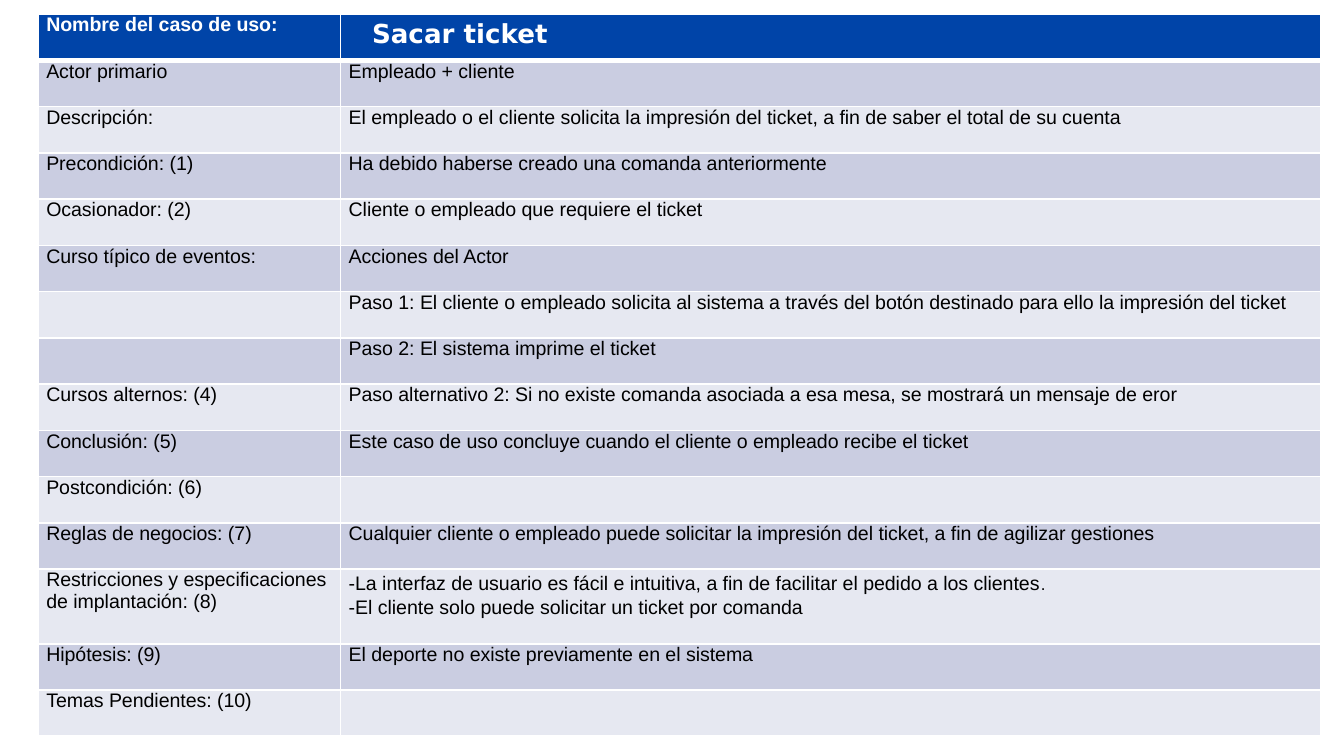
from dataclasses import dataclass

from lxml import etree
from pptx import Presentation
from pptx.dml.color import RGBColor
from pptx.enum import text
from pptx.oxml import ns
from pptx.util import Inches, Pt

WIDTH = 10
HEIGHT = WIDTH * 9 / 16
LEFT, TOP = Pt(20.5), Pt(7.6)
COLUMNS = (2.25, 7.29)
ROW, TALL_ROW = 24.8, 40
HEADER, BANDS = "0044A8", ("E6E8F1", "CACDE1")
WHITE, BLACK = "FFFFFF", "000000"


@dataclass
class Row:
    label: str
    detail: str = ""
    height: float = ROW


ROWS = [
    Row("Nombre del caso de uso:"),
    Row("Actor primario", "Empleado + cliente"),
    Row("Descripción:", "El empleado o el cliente solicita la impresión del ticket, "
        "a fin de saber el total de su cuenta"),
    Row("Precondición: (1)", "Ha debido haberse creado una comanda anteriormente"),
    Row("Ocasionador: (2)", "Cliente o empleado que requiere el ticket"),
    Row("Curso típico de eventos:", "Acciones del Actor"),
    Row("", "Paso 1: El cliente o empleado solicita al sistema a través del botón "
        "destinado para ello la impresión del ticket"),
    Row("", "Paso 2: El sistema imprime el ticket"),
    Row("Cursos alternos: (4)", "Paso alternativo 2: Si no existe comanda asociada a "
        "esa mesa, se mostrará un mensaje de eror"),
    Row("Conclusión: (5)", "Este caso de uso concluye cuando el cliente o empleado "
        "recibe el ticket"),
    Row("Postcondición: (6)"),
    Row("Reglas de negocios: (7)", "Cualquier cliente o empleado puede solicitar la "
        "impresión del ticket, a fin de agilizar gestiones"),
    Row("Restricciones y especificaciones de implantación: (8)",
        "-La interfaz de usuario es fácil e intuitiva, a fin de facilitar el pedido a "
        "los clientes\n-El cliente solo puede solicitar un ticket por comanda", TALL_ROW),
    Row("Hipótesis: (9)", "El deporte no existe previamente en el sistema"),
    Row("Temas Pendientes: (10)"),
]


def rgb(value: str) -> RGBColor:
    return RGBColor.from_string(value)


def format_run(r, size: float, font: str, color: str, bold: bool) -> None:
    r.font.size, r.font.name, r.font.bold = Pt(size), font, bold
    r.font.color.rgb = rgb(color)


def set_borders(cell, top: float, bottom: float) -> None:
    tc_pr = cell._tc.get_or_add_tcPr()
    widths = {"L": 1, "R": 1, "T": top, "B": bottom}
    for i, (side, width) in enumerate(widths.items()):
        ln = etree.Element(ns.qn(f"a:ln{side}"), w=str(Pt(width)))
        fill = etree.SubElement(ln, ns.qn("a:solidFill"))
        etree.SubElement(fill, ns.qn("a:srgbClr"), val=WHITE)
        tc_pr.insert(i, ln)


def fill_cell(cell, value: str, index: int) -> None:
    header = index == 0
    cell.margin_left = cell.margin_right = Inches(0.06)
    cell.margin_top = cell.margin_bottom = 0
    cell.fill.solid()
    cell.fill.fore_color.rgb = rgb(HEADER if header else BANDS[index % 2])
    set_borders(cell, 3 if index == 1 else 1, 3 if header else 1)
    tf = cell.text_frame
    tf.text = value
    for p in tf.paragraphs:
        if len(tf.paragraphs) > 1:
            p.line_spacing = 1.15
        for r in p.runs:
            format_run(r, 10.5, "Arial", WHITE if header else BLACK, header)


def add_small_stop(cell) -> None:
    r = cell.text_frame.paragraphs[0].add_run()
    r.text = "."
    format_run(r, 9, "Arial", BLACK, False)


def add_use_case(s, rows: list[Row]) -> None:
    frame = s.shapes.add_table(len(rows), len(COLUMNS), LEFT, TOP,
                               Inches(sum(COLUMNS)), Pt(sum(r.height for r in rows)))
    table = frame.table
    table.horz_banding = False
    for column, width in zip(table.columns, COLUMNS):
        column.width = Inches(width)
    for i, row in enumerate(rows):
        table.rows[i].height = Pt(row.height)
        for j, value in enumerate((row.label, row.detail)):
            fill_cell(table.cell(i, j), value, i)
        if row.height == TALL_ROW:
            add_small_stop(table.cell(i, 1))


def add_title(s, value: str) -> None:
    sp = s.shapes.add_textbox(Inches(2.67), Inches(0.04), Inches(6.63), Inches(0.41))
    tf = sp.text_frame
    tf.word_wrap = True
    tf.vertical_anchor = text.MSO_ANCHOR.MIDDLE
    tf.text = value
    format_run(tf.paragraphs[0].runs[0], 14, "DejaVu Sans", WHITE, True)


def main() -> None:
    prs = Presentation()
    prs.slide_width, prs.slide_height = Inches(WIDTH), Inches(HEIGHT)
    s = prs.slides.add_slide(prs.slide_layouts[6])
    add_use_case(s, ROWS)
    add_title(s, "Sacar ticket")
    prs.save("out.pptx")


if __name__ == "__main__":
    main()
